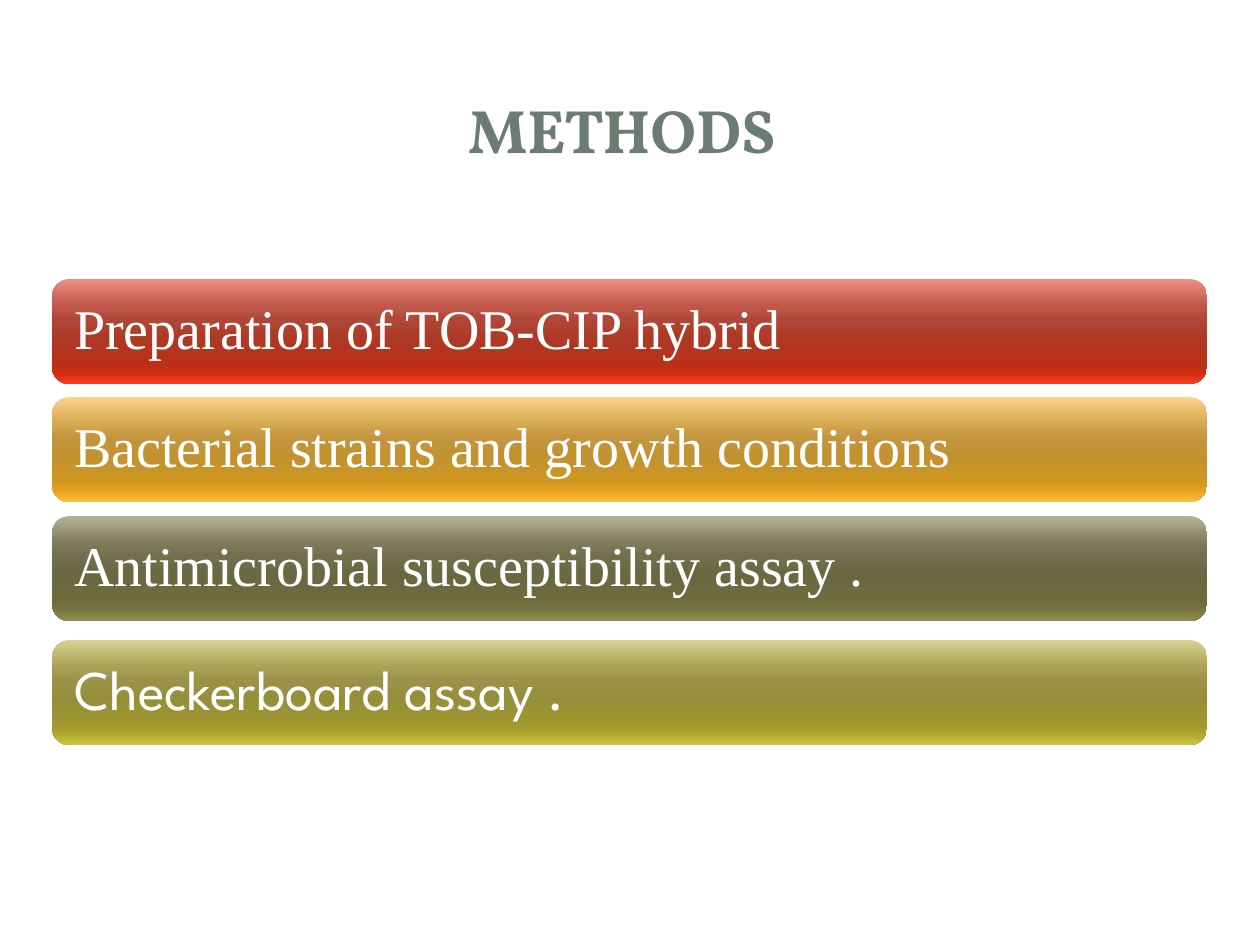
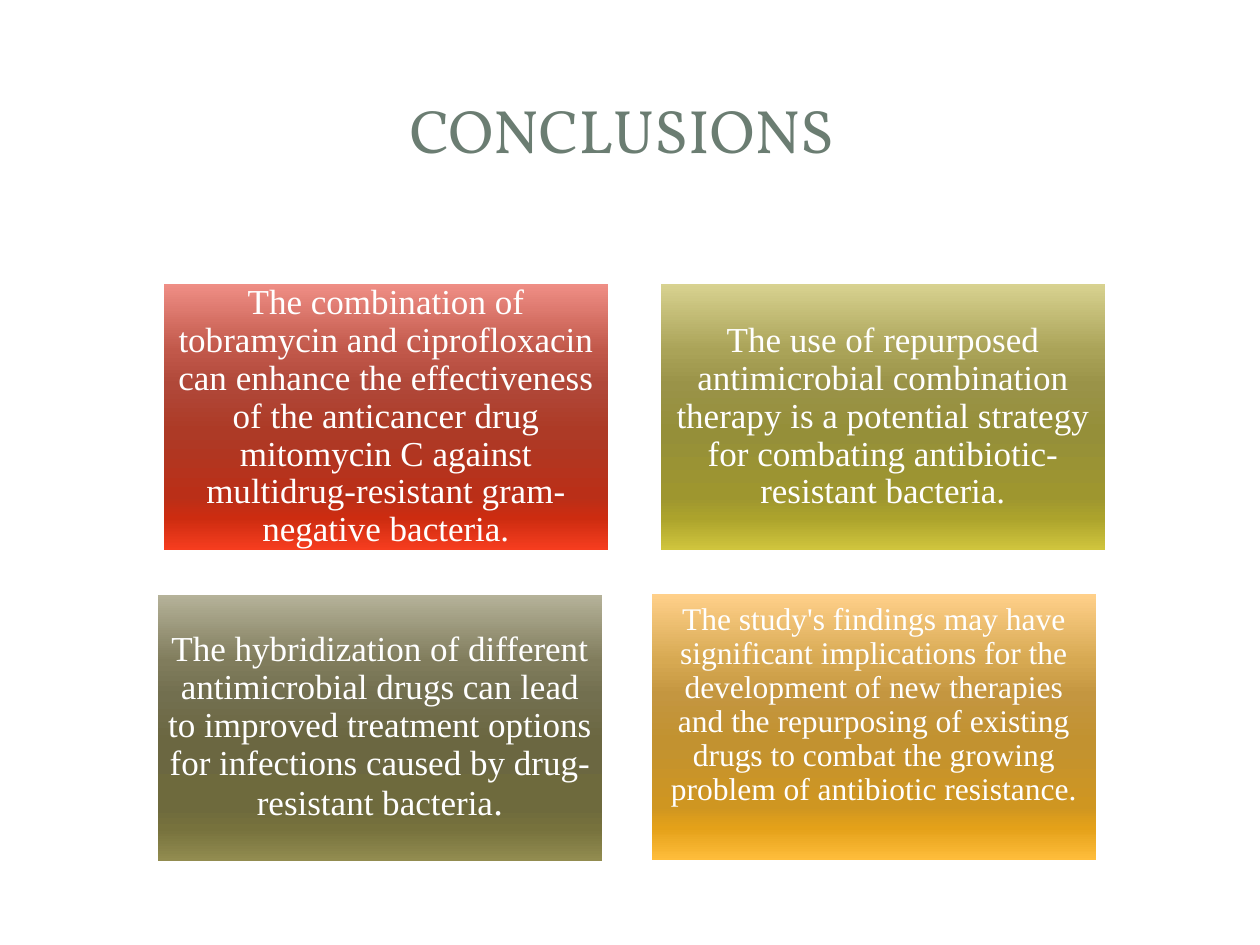
import pptx
import pptx.util
import pptx.dml.color
import pptx.enum.shapes
import pptx.enum.text
import pptx.oxml.ns
import lxml.etree

PX_PER_INCH = 126
COLOURS = {"paper": "FFFFFF", "title": "6B7D72", "text": "FFFFFF"}
STOPS = (0, 25, 38, 55, 80, 88, 100)
GRADIENTS = {
    "red": "EF8E85 C1584A B04839 AD3A26 BA2F18 CD2C10 F63D1F".split(),
    "gold": "FFD08A D7A952 C49640 C29230 CF9621 E4A119 FFBD3B".split(),
    "olive": "B5B299 807C5C 726F4F 6B6741 6E6A3D 77723D 928C50".split(),
    "lime": "D8D290 AAA358 9A9348 958F39 9E962F ACA32C D0C53D".split(),
}
SERIF = "Times New Roman"
RECTANGLE = pptx.enum.shapes.MSO_SHAPE.RECTANGLE
ROUNDED = pptx.enum.shapes.MSO_SHAPE.ROUNDED_RECTANGLE
LEFT = pptx.enum.text.PP_ALIGN.LEFT
CENTER = pptx.enum.text.PP_ALIGN.CENTER


def px(length):
    return round(length * pptx.util.Inches(1) / PX_PER_INCH)


def rgb(name):
    return pptx.dml.color.RGBColor.from_string(COLOURS[name])


class Painter:
    """Holds the deck, its shared style and the slide being built."""

    def __init__(self):
        self.deck = pptx.Presentation()
        self.deck.slide_width = px(1260)
        self.deck.slide_height = px(945)
        self.slide = None

    def new_slide(self, title, bold=False):
        self.slide = self.deck.slides.add_slide(self.deck.slide_layouts[6])
        panel = self.plain_shape(ROUNDED, 13, 14, 1235, 918)
        panel.adjustments[0] = 0.02
        self.plain_shape(RECTANGLE, 38, 38, 1184, 183)
        self.plain_shape(RECTANGLE, 52, 52, 1155, 154)
        box = self.slide.shapes.add_textbox(px(59), px(57), px(1138), px(144))
        self.set_text(box, title, 35, "Vollkorn", "title", CENTER)
        box.text_frame.paragraphs[0].runs[0].font.bold = bold

    def plain_shape(self, kind, left, top, width, height):
        shape = self.slide.shapes.add_shape(kind, px(left), px(top), px(width), px(height))
        shape.shadow.inherit = False
        shape.line.fill.background()
        shape.fill.solid()
        shape.fill.fore_color.rgb = rgb("paper")
        return shape

    def gradient_shape(self, kind, left, top, width, height, gradient):
        shape = self.plain_shape(kind, left, top, width, height)
        shape.fill.gradient()
        shape.fill.gradient_angle = 270
        qn = pptx.oxml.ns.qn
        stop_list = next(shape.element.iter(qn("a:gsLst")))
        for stop in list(stop_list):
            stop_list.remove(stop)
        for percent, colour in zip(STOPS, GRADIENTS[gradient]):
            stop = lxml.etree.SubElement(stop_list, qn("a:gs"), pos=str(percent * 1000))
            lxml.etree.SubElement(stop, qn("a:srgbClr"), val=colour)
        return shape

    def set_text(self, box, text, size, font, colour, align):
        frame = box.text_frame
        frame.word_wrap = True
        frame.vertical_anchor = pptx.enum.text.MSO_ANCHOR.MIDDLE
        para = frame.paragraphs[0]
        para.text = text
        para.alignment = align
        self.format_span(para.runs[0], size, font, colour)

    def format_span(self, span, size, font, colour):
        span.font.size = pptx.util.Pt(size)
        span.font.name = font
        span.font.color.rgb = rgb(colour)

    def card(self, kind, place, gradient, text, size, font, align, inset, bottom):
        """Gradient shape with its own text; inset and bottom are margins in px."""
        card = self.gradient_shape(kind, *place, gradient)
        self.set_text(card, text, size, font, "text", align)
        frame = card.text_frame
        frame.margin_left = frame.margin_right = frame.margin_top = px(inset)
        frame.margin_bottom = px(bottom)
        frame.paragraphs[0].line_spacing = 0.9
        return card


def build_methods(painter):
    painter.new_slide("METHODS ", bold=True)
    steps = (
        (279, "red", "Preparation of TOB-CIP hybrid", SERIF),
        (397, "gold", "Bacterial strains and growth conditions", SERIF),
        (516, "olive", "Antimicrobial susceptibility assay .", SERIF),
        (640, "lime", "Checkerboard assay .", "League Spartan"),
    )
    for top, gradient, text, font in steps:
        painter.card(ROUNDED, (52, top, 1155, 105), gradient, text, 32, font, LEFT, 17, 17)


def build_conclusions(painter):
    painter.new_slide("CONCLUSIONS ")
    findings = (
        (164, 284, "red", 20, 10,
         "The combination of tobramycin and ciprofloxacin can enhance the effectiveness of "
         "the anticancer drug mitomycin C against multidrug-resistant gram-negative bacteria."),
        (661, 284, "lime", 20, 10,
         "The use of repurposed antimicrobial combination therapy is a potential strategy "
         "for combating antibiotic-resistant bacteria."),
        (652, 594, "gold", 18, 54,
         "The study's findings may have significant implications for the development of new "
         "therapies and the repurposing of existing drugs to combat the growing problem of "
         "antibiotic resistance."),
        (158, 595, "olive", 20, 10,
         "The hybridization of different antimicrobial drugs can lead to improved treatment "
         "options for infections caused by drug-resistant bacteria"),
    )
    for left, top, gradient, size, bottom, text in findings:
        card = painter.card(RECTANGLE, (left, top, 444, 266), gradient, text, size,
                            SERIF, CENTER, 10, bottom)
    full_stop = card.text_frame.paragraphs[0].add_run()
    full_stop.text = "."
    painter.format_span(full_stop, 22, SERIF, "text")


def main():
    painter = Painter()
    build_methods(painter)
    build_conclusions(painter)
    painter.deck.save("out.pptx")


if __name__ == "__main__":
    main()
